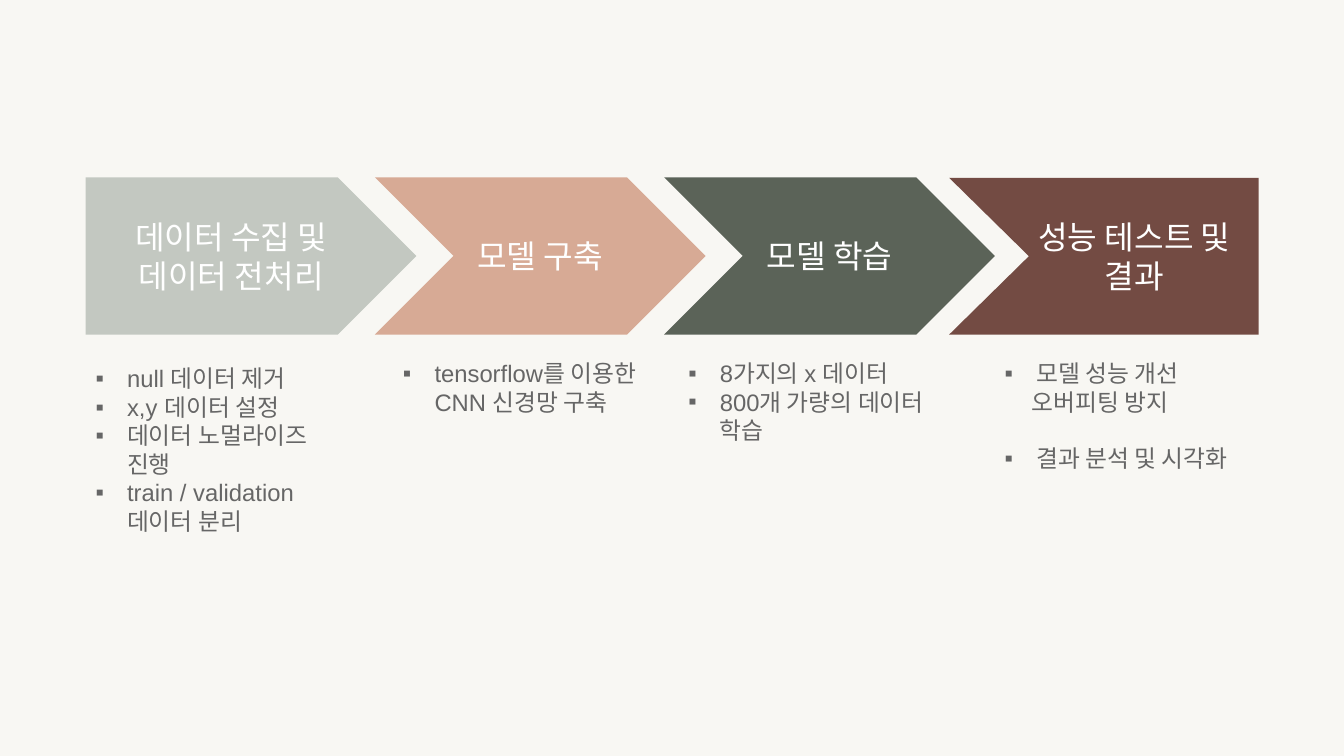
from lxml import etree
from pptx import Presentation
from pptx.dml.color import RGBColor
from pptx.enum import shapes, text
from pptx.oxml.ns import qn
from pptx.util import Pt

GRAY = "666666"
TOP, WIDE, HIGH = 126.7, 236.2, 112.3
LEFT, STEP = 61.2, 206.6


def color(part, code):
    """Give a fill or a font a solid hex color."""
    if hasattr(part, "solid"):
        part.solid()
        part.fore_color.rgb = RGBColor.from_string(code)
    else:
        part.color.rgb = RGBColor.from_string(code)


def bullet(para):
    """Hang the paragraph on a square bullet."""
    props = para._p.get_or_add_pPr()
    props.set("marL", str(Pt(22.5)))
    props.set("indent", str(Pt(-22.5)))
    tint = etree.SubElement(props, qn("a:buClr"))
    etree.SubElement(tint, qn("a:srgbClr"), val=GRAY)
    etree.SubElement(props, qn("a:buFont"), typeface="Arial")
    etree.SubElement(props, qn("a:buChar"), char="▪")


deck = Presentation()
deck.slide_width, deck.slide_height = Pt(960), Pt(540)
slide = deck.slides.add_slide(deck.slide_layouts[6])
color(slide.background.fill, "F8F7F3")

# Process arrows: the last one has a flat right end
steps = [
    ("데이터 수집 및\n데이터 전처리", "C3C8C1"),
    ("모델 구축", "D7AA95"),
    ("모델 학습", "5B6358"),
    ("성능 테스트 및 결과", "734B43"),
]
for i, (label, code) in enumerate(steps):
    if i < 3:
        kind = shapes.MSO_SHAPE.CHEVRON if i else shapes.MSO_SHAPE.PENTAGON
        arrow = slide.shapes.add_shape(
            kind, Pt(LEFT + i * STEP), Pt(TOP), Pt(WIDE), Pt(HIGH))
    else:
        near, far, base = 678.5, 899, TOP + HIGH
        pen = slide.shapes.build_freeform(near, TOP, scale=Pt(1))
        pen.add_line_segments([
            (far, TOP), (far, base), (near, base),
            (near + HIGH / 2, TOP + HIGH / 2)])
        arrow = pen.convert_to_shape()
    arrow.shadow.inherit = False
    color(arrow.fill, code)
    arrow.line.fill.background()
    frame = arrow.text_frame
    frame.word_wrap = True
    frame.vertical_anchor = text.MSO_ANCHOR.MIDDLE
    frame.margin_left = Pt(7.2 if i < 3 else 51)
    frame.text = label
    for para in frame.paragraphs:
        para.alignment = text.PP_ALIGN.CENTER
        para.font.name, para.font.size = "Arial", Pt(23)
        color(para.font, "FFFFFF")

# Notes under the arrows: left, height, top inset, lines
notes = [
    (61.2, 226.8, 7.2, ["null 데이터 제거", "x,y 데이터 설정",
                        "데이터 노멀라이즈 진행",
                        "train / validation 데이터 분리"]),
    (280.8, 160, 3.6, ["tensorflow를 이용한 CNN 신경망 구축"]),
    (484.6, 160, 3.6, ["8가지의 x 데이터", "800개 가량의 데이터 학습"]),
    (710.6, 160, 3.6, ["모델 성능 개선", "오버피팅 방지",
                       "결과 분석 및 시각화"]),
]
for left, high, inset, lines in notes:
    box = slide.shapes.add_textbox(Pt(left), Pt(252.7), Pt(187.2), Pt(high))
    frame = box.text_frame
    frame.word_wrap = True
    frame.margin_top = Pt(inset)
    frame.text = "\n".join(lines)
    for para in frame.paragraphs:
        if para.text == "오버피팅 방지":
            para._p.get_or_add_pPr().set("marL", str(Pt(19)))
        else:
            bullet(para)
        if para.text == "결과 분석 및 시각화":
            para.space_before = Pt(20)
        para.font.name, para.font.size = "Arial", Pt(17)
        color(para.font, GRAY)

deck.save("out.pptx")
